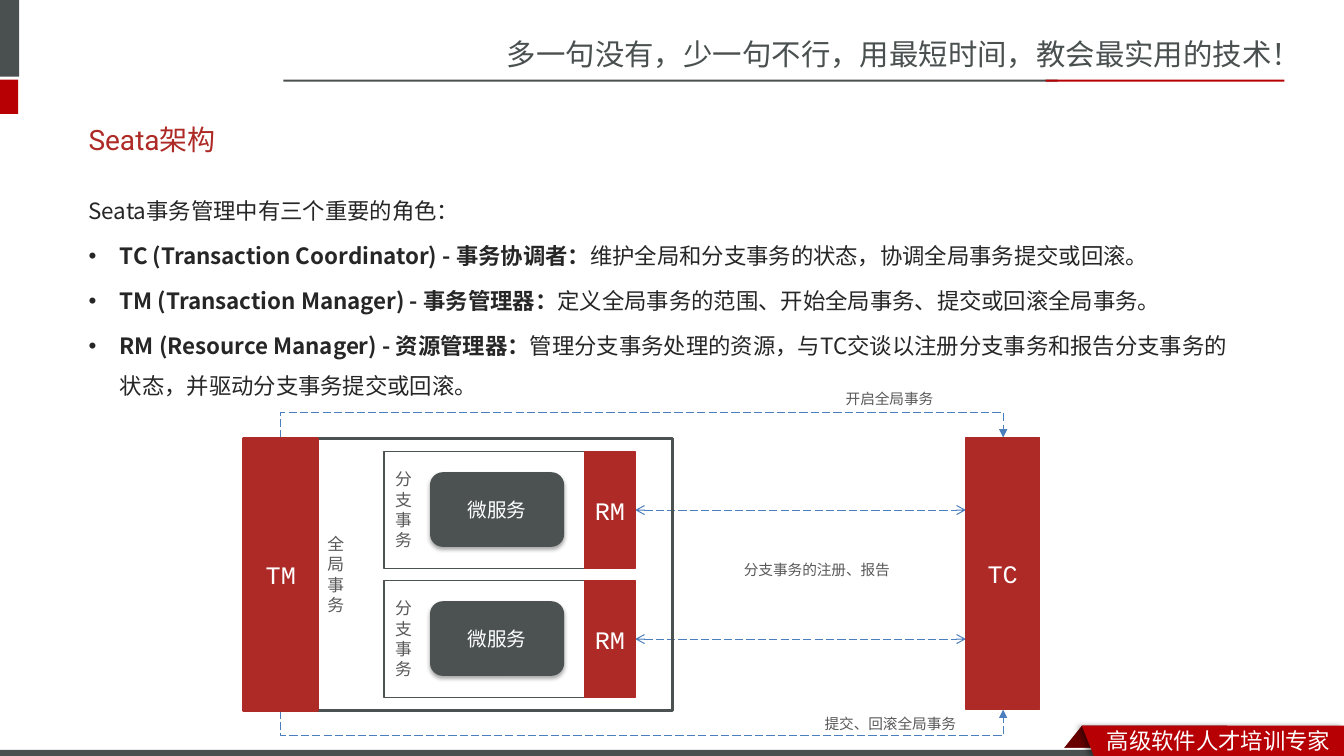
from dataclasses import dataclass
from typing import Optional

import lxml.etree
import pptx
import pptx.dml.color
import pptx.enum.dml
import pptx.enum.shapes
import pptx.enum.text
import pptx.oxml.ns
import pptx.shapes.autoshape
import pptx.shapes.connector
import pptx.slide
import pptx.util

PX = 9144  # EMU in one px, 100 px to the inch
KIND = pptx.enum.shapes.MSO_SHAPE
ALIGN = pptx.enum.text.PP_ALIGN
ANCHOR = pptx.enum.text.MSO_ANCHOR


@dataclass(frozen=True)
class Theme:
    slate: str = "49504F"
    scarlet: str = "B60004"
    fold: str = "680000"
    brick: str = "AD2A26"
    charcoal: str = "4C5252"
    arrow: str = "4B7EBC"
    ink: str = "262626"
    label: str = "595959"
    white: str = "FFFFFF"
    sans: str = "Noto Sans CJK SC"
    body_face: str = "Noto Sans CJK JP"
    title_face: str = "Roboto"
    mono: str = "Courier New"
    slogan_size: float = 21
    title_size: float = 20
    role_size: float = 18
    body_size: float = 16
    service_size: float = 14
    column_size: float = 12
    note_size: float = 10.5


THEME = Theme()


@dataclass(frozen=True)
class Block:
    x: int
    y: int
    w: int
    h: int
    fill: Optional[str] = None
    line: Optional[str] = None
    weight: float = 1
    kind: KIND = KIND.RECTANGLE
    text: str = ""
    size: float = THEME.role_size


@dataclass(frozen=True)
class Note:
    x: int
    y: int
    w: int
    h: int
    text: str
    size: float
    leading: float
    face: str = THEME.mono
    color: str = THEME.label
    wrap: bool = True


@dataclass(frozen=True)
class Role:
    name: str
    duty: str


def rgb(color: str) -> pptx.dml.color.RGBColor:
    return pptx.dml.color.RGBColor.from_string(color)


def add_xml(parent: lxml.etree._Element, tag: str, **attrs: object) -> lxml.etree._Element:
    return lxml.etree.SubElement(parent, pptx.oxml.ns.qn(tag), {k: str(v) for k, v in attrs.items()})


def paint(shape: pptx.shapes.autoshape.Shape, fill: Optional[str],
          line: Optional[str] = None, weight: float = 1) -> None:
    shape.shadow.inherit = False
    if fill:
        shape.fill.solid()
        shape.fill.fore_color.rgb = rgb(fill)
    else:
        shape.fill.background()
    if line:
        shape.line.color.rgb = rgb(line)
        shape.line.width = pptx.util.Pt(weight)
    else:
        shape.line.fill.background()


def add_shadow(shape: pptx.shapes.autoshape.Shape, blur: float, distance: float,
               angle: int, alpha: int) -> None:
    effects = shape.element.spPr.find(pptx.oxml.ns.qn("a:effectLst"))
    outer = add_xml(effects, "a:outerShdw", blurRad=int(blur * 12700), dist=int(distance * 12700),
                    dir=angle * 60000, rotWithShape=0)
    add_xml(add_xml(outer, "a:srgbClr", val="000000"), "a:alpha", val=alpha * 1000)


def write(frame: pptx.text.text.TextFrame, *parts: str, size: float, color: str, face: str,
          bold_first: bool = False, align: Optional[ALIGN] = None, leading: Optional[float] = None,
          before: float = 0, indent: int = 0, new_para: bool = False) -> None:
    """Write one paragraph, each part a span of its own."""
    para = frame.add_paragraph() if new_para else frame.paragraphs[0]
    para.alignment = align
    para.space_before = pptx.util.Pt(before)
    if leading:
        para.line_spacing = pptx.util.Pt(leading)
    if indent:
        props = para._p.get_or_add_pPr()
        props.set("marL", str(indent * PX))
        props.set("indent", str(-indent * PX))
        add_xml(props, "a:buFont", typeface="Arial")
        add_xml(props, "a:buChar", char="•")
    for index, part in enumerate(parts):
        span = para.add_run()
        span.text = part
        span.font.size = pptx.util.Pt(size)
        span.font.bold = bold_first and index == 0
        span.font.color.rgb = rgb(color)
        span.font.name = face
        east_asian = face if face == THEME.body_face else THEME.sans
        add_xml(span._r.get_or_add_rPr(), "a:ea", typeface=east_asian)


def add_box(page: pptx.slide.Slide, x: int, y: int, w: int, h: int,
            wrap: bool = True) -> pptx.text.text.TextFrame:
    frame = page.shapes.add_textbox(x * PX, y * PX, w * PX, h * PX).text_frame
    frame.word_wrap = wrap
    return frame


def add_note(page: pptx.slide.Slide, note: Note) -> None:
    write(add_box(page, note.x, note.y, note.w, note.h, note.wrap), note.text, size=note.size,
          color=note.color, face=note.face, leading=note.leading)


def add_block(page: pptx.slide.Slide, block: Block) -> pptx.shapes.autoshape.Shape:
    shape = page.shapes.add_shape(block.kind, block.x * PX, block.y * PX, block.w * PX, block.h * PX)
    paint(shape, block.fill, block.line, block.weight)
    if block.text:
        shape.text_frame.vertical_anchor = ANCHOR.MIDDLE
        write(shape.text_frame, block.text, size=block.size, color=THEME.white,
              face=THEME.mono, align=ALIGN.CENTER)
    return shape


def add_arrow(page: pptx.slide.Slide, kind: pptx.enum.shapes.MSO_CONNECTOR, x1: int, y1: int,
              x2: int, y2: int, tail: str, head: str = "none") -> pptx.shapes.connector.Connector:
    arrow = page.shapes.add_connector(kind, x1 * PX, y1 * PX, x2 * PX, y2 * PX)
    arrow.line.color.rgb = rgb(THEME.arrow)
    arrow.line.width = pptx.util.Pt(0.75)
    arrow.line.dash_style = pptx.enum.dml.MSO_LINE.LONG_DASH
    stroke = arrow.line._get_or_add_ln()
    add_xml(stroke, "a:headEnd", type=head)
    add_xml(stroke, "a:tailEnd", type=tail)
    add_xml(arrow.element.spPr, "a:effectLst")
    return arrow


def add_detour(page: pptx.slide.Slide, x1: int, x2: int, y: int, rise: int) -> None:
    """Join two block edges by an elbow turned a quarter, one px thick, that rises by px."""
    span = x2 - x1
    left, top = (x1 + x2 - 1) // 2, y - (span + 1) // 2
    arrow = add_arrow(page, pptx.enum.shapes.MSO_CONNECTOR.ELBOW, left + 1, top + span,
                      left, top, tail="triangle")
    arrow.element.spPr.find(pptx.oxml.ns.qn("a:xfrm")).set("rot", "5400000")
    geometry = arrow.element.spPr.find(pptx.oxml.ns.qn("a:prstGeom"))
    guides = geometry.find(pptx.oxml.ns.qn("a:avLst"))
    if guides is None:
        guides = add_xml(geometry, "a:avLst")
    add_xml(guides, "a:gd", name="adj1", fmla=f"val {rise * 100000}")


def add_frame(page: pptx.slide.Slide) -> None:
    # Header and footer
    fold = add_block(page, Block(1049, 720, 168, 30, THEME.fold, kind=KIND.PARALLELOGRAM))
    fold.adjustments[0] = 0.8
    add_block(page, Block(0, 742, 1333, 8, THEME.white))
    add_note(page, Note(493, 28, 840, 47, "多一句没有，少一句不行，用最短时间，教会最实用的技术！",
                        THEME.slogan_size, 27, THEME.sans, THEME.slate))
    for bar in (Block(0, 0, 19, 76, THEME.slate), Block(0, 79, 18, 34, THEME.scarlet),
                Block(281, 79, 768, 2, THEME.slate), Block(1037, 79, 237, 2, THEME.scarlet),
                Block(0, 744, 1099, 6, THEME.slate)):
        add_block(page, bar)
    outline = page.shapes.build_freeform(1073, 720, scale=PX)
    outline.add_line_segments([(1333, 720), (1333, 750), (1085, 750)], close=True)
    ribbon = outline.convert_to_shape()
    paint(ribbon, THEME.scarlet)
    add_shadow(ribbon, 4, 3, 180, 40)
    add_note(page, Note(1088, 715, 245, 37, "高级软件人才培训专家", THEME.body_size, 20,
                        THEME.sans, THEME.white))


def add_roles(page: pptx.slide.Slide) -> None:
    # Title and role list
    title = add_box(page, 78, 110, 1170, 57)
    title.vertical_anchor = ANCHOR.MIDDLE
    write(title, "Seata架构", size=THEME.title_size, color=THEME.brick, face=THEME.title_face)
    body = add_box(page, 78, 178, 1170, 422)
    style = dict(size=THEME.body_size, color=THEME.ink, face=THEME.body_face, leading=28.6)
    write(body, "Seata事务管理中有三个重要的角色：", **style)
    for role in (
        Role("TC (Transaction Coordinator) - 事务协调者：", "维护全局和分支事务的状态，协调全局事务提交或回滚。"),
        Role("TM (Transaction Manager) - 事务管理器：", "定义全局事务的范围、开始全局事务、提交或回滚全局事务。"),
        Role("RM (Resource Manager) - 资源管理器：",
             "管理分支事务处理的资源，与TC交谈以注册分支事务和报告分支事务的状态，并驱动分支事务提交或回滚。"),
    ):
        write(body, role.name, role.duty, bold_first=True, before=3.5, indent=31, new_para=True, **style)


def add_diagram(page: pptx.slide.Slide) -> None:
    # Arrows and their notes
    branch_tops = (448, 576)
    add_detour(page, 278, 995, 435, 26)
    add_detour(page, 278, 995, 705, -25)
    for top in branch_tops:
        add_arrow(page, pptx.enum.shapes.MSO_CONNECTOR.STRAIGHT, 630, top + 58, 958, top + 58,
                  tail="arrow", head="arrow")
    for x, y, w, text in ((829, 381, 107, "开启全局事务"), (808, 704, 151, "提交、回滚全局事务"),
                          (728, 551, 166, "分支事务的注册、报告")):
        add_note(page, Note(x, y, w, 28, text, THEME.note_size, 13, wrap=False))

    # Global transaction, its branches and the coordinator
    add_block(page, Block(295, 435, 372, 270, None, THEME.charcoal, 2.25))
    add_block(page, Block(242, 435, 73, 270, THEME.brick, THEME.brick, 2.25, text="TM"))
    add_note(page, Note(315, 524, 44, 91, "全局事务", THEME.column_size, 14.6))
    for top in branch_tops:
        service = add_block(page, Block(427, top + 21, 132, 73, THEME.charcoal, THEME.charcoal, 0.75,
                                        KIND.ROUNDED_RECTANGLE, "微服务", THEME.service_size))
        add_shadow(service, 3.1, 1.8, 90, 35)
        add_block(page, Block(381, top, 224, 116, None, THEME.charcoal))
        add_block(page, Block(580, top, 50, 116, THEME.brick, THEME.brick, text="RM"))
        add_note(page, Note(382, top + 12, 44, 91, "分支事务", THEME.column_size, 14.6))
    add_block(page, Block(958, 434, 73, 270, THEME.brick, THEME.brick, text="TC"))


def main() -> None:
    deck = pptx.Presentation()
    deck.slide_width, deck.slide_height = 1333 * PX, 750 * PX
    page = deck.slides.add_slide(deck.slide_layouts[6])
    add_frame(page)
    add_roles(page)
    add_diagram(page)
    deck.save("out.pptx")


if __name__ == "__main__":
    main()
